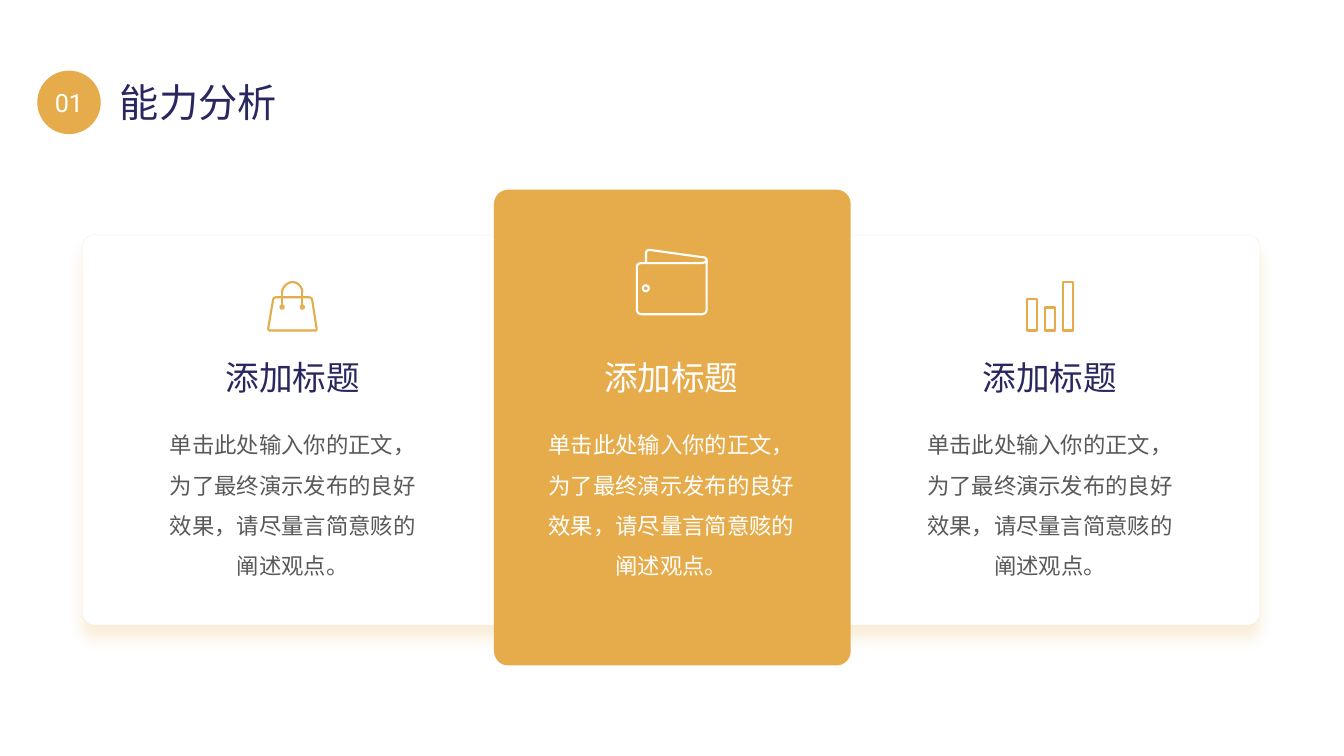
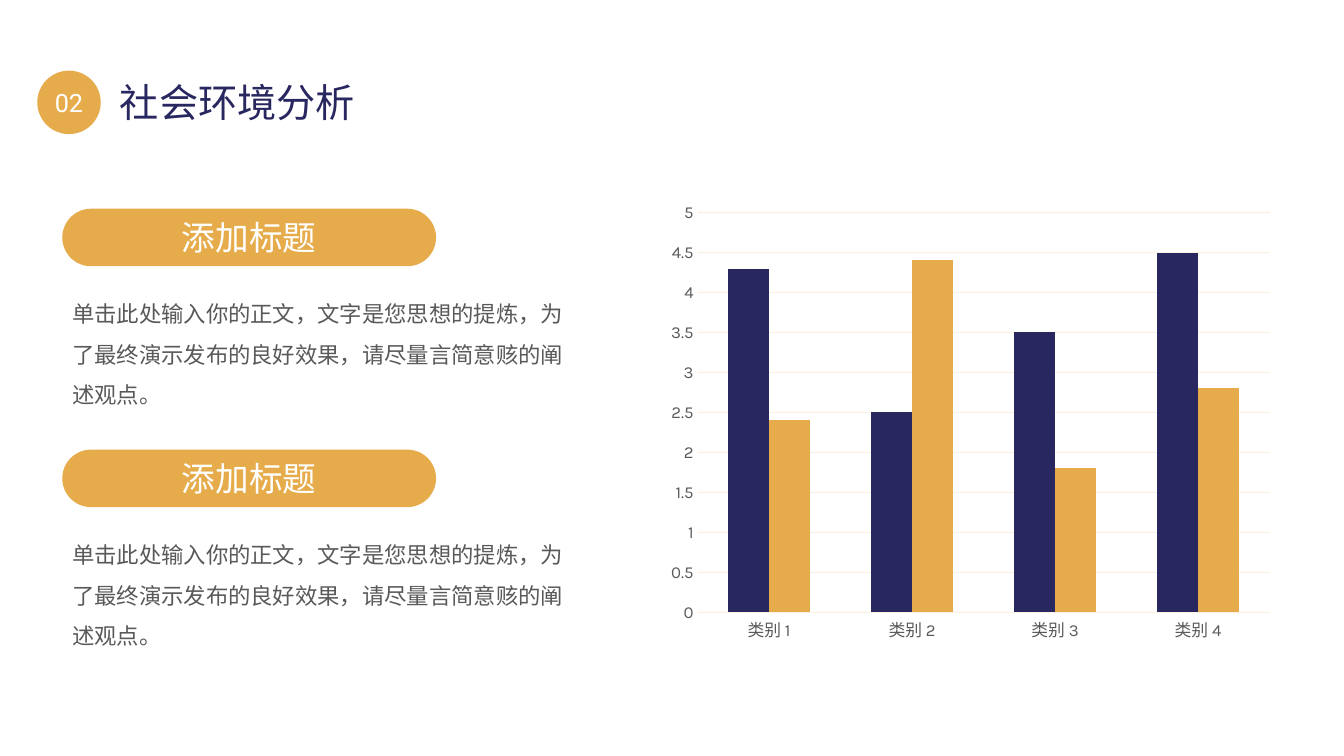
from lxml import etree
from pptx import Presentation
from pptx.chart.data import CategoryChartData
from pptx.dml.color import RGBColor
from pptx.enum.chart import XL_CHART_TYPE as ChartType, XL_TICK_MARK as TickMark
from pptx.enum.shapes import MSO_CONNECTOR as Connector, MSO_SHAPE as Shape
from pptx.enum.text import MSO_ANCHOR as Anchor, MSO_AUTO_SIZE as AutoSize, PP_ALIGN as Align
from pptx.oxml import parse_xml
from pptx.oxml.ns import nsdecls, qn
from pptx.util import Cm, Pt

COLORS = {"gold": "E6AC4B", "navy": "29275F", "gray": "595959",
          "white": "FFFFFF", "grid": "FAEEDB"}

TITLE_FONT = {"name": "Roboto", "size": Pt(28)}
NUMBER_FONT = {"name": "Roboto", "size": Pt(18)}
HEADING_FONT = {"name": "Roboto", "size": Pt(24)}
BODY_FONT = {"name": "Karla", "size": Pt(16)}
CHART_FONT = {"name": "Karla", "size": Pt(12)}

ABILITY = {
    "number": "01",
    "title": "能力分析",
    "cards": [
        ("添加标题", "单击此处输入你的正文，为了最终演示发布的良好效果，请尽量言简意赅的阐述观点。",
         "navy", "gray"),
        ("添加标题", "单击此处输入你的正文，为了最终演示发布的良好效果，请尽量言简意赅的阐述观点。",
         "white", "white"),
        ("添加标题", "单击此处输入你的正文，为了最终演示发布的良好效果，请尽量言简意赅的阐述观点。",
         "navy", "gray"),
    ],
}
ENVIRONMENT = {
    "number": "02",
    "title": "社会环境分析",
    "sections": [
        ("添加标题", "单击此处输入你的正文，文字是您思想的提炼，为了最终演示发布的良好效果，请尽量言简意赅的阐述观点。"),
        ("添加标题", "单击此处输入你的正文，文字是您思想的提炼，为了最终演示发布的良好效果，请尽量言简意赅的阐述观点。"),
    ],
    "categories": ["类别 1", "类别 2", "类别 3", "类别 4"],
    "series": [("Series 1", [4.3, 2.5, 3.5, 4.5], "navy"),
               ("Series 2", [2.4, 4.4, 1.8, 2.8], "gold")],
}

# Icon outlines in cm: a start point, then segments of one point (line) or three (curve)
BAG_BODY = [(7.98, 8.28), [(7.98, 8.31), (7.98, 8.33), (7.95, 8.33)],
            [(6.81, 8.33)], [(6.78, 8.33), (6.76, 8.31), (6.76, 8.28)],
            [(6.88, 7.57)], [(6.88, 7.52), (6.93, 7.49), (6.96, 7.49)],
            [(7.77, 7.49)], [(7.82, 7.49), (7.87, 7.52), (7.87, 7.57)]]
BAG_HANDLE = [(7.11, 7.37), [(7.11, 7.24), (7.24, 7.11), (7.37, 7.11)],
              [(7.52, 7.11), (7.62, 7.24), (7.62, 7.37)]]
WALLET_BODY = [(17.81, 6.6), [(17.81, 7.8)],
               [(17.81, 7.87), (17.75, 7.92), (17.68, 7.92)],
               [(16.18, 7.92)], [(16.1, 7.92), (16.05, 7.87), (16.05, 7.8)],
               [(16.05, 6.73)], [(16.05, 6.67), (16.1, 6.63), (16.18, 6.63)],
               [(17.63, 6.63)], [(17.71, 6.63), (17.78, 6.63), (17.81, 6.55)]]
WALLET_FLAP = [(16.28, 6.6), [(16.28, 6.4)],
               [(16.28, 6.32), (16.33, 6.29), (16.38, 6.3)],
               [(17.68, 6.48)], [(17.81, 6.48), (17.81, 6.55), (17.81, 6.55)],
               [(17.81, 6.63)]]
BAR_HEIGHTS = [0.79, 0.58, 1.22]


def rgb(color):
    return RGBColor.from_string(COLORS[color])


def set_font(font, style, color):
    for attribute, value in style.items():
        setattr(font, attribute, value)
    font.color.rgb = rgb(color)


def set_alpha(color_element, percent):
    etree.SubElement(color_element, qn("a:alpha"), val=str(percent * 1000))


def write(shape, text, style, color, align=Align.LEFT, **paragraph_format):
    frame = shape.text_frame
    frame.word_wrap = True
    frame.text = text
    paragraph = frame.paragraphs[0]
    for attribute, value in {"alignment": align, **paragraph_format}.items():
        setattr(paragraph, attribute, value)
    set_font(paragraph.runs[0].font, style, color)


def add_text(slide, box, *content, **paragraph_format):
    write(slide.shapes.add_textbox(*map(Cm, box)), *content, **paragraph_format)


def paint(shape, fill=None, line=None, width=1.5):
    shape.shadow.inherit = False
    if fill:
        shape.fill.solid()
        shape.fill.fore_color.rgb = rgb(fill)
    else:
        shape.fill.background()
    if line:
        shape.line.color.rgb = rgb(line)
        shape.line.width = Pt(width)
    else:
        shape.line.fill.background()


def add_shape(slide, kind, box, corner=None, **look):
    shape = slide.shapes.add_shape(kind, *map(Cm, box))
    if corner is not None:
        shape.adjustments[0] = corner
    paint(shape, **look)
    return shape


def curve_points(start, segment, steps=8):
    """Points along a line or a cubic curve, without its start."""
    if len(segment) == 1:
        return segment
    points = [start, *segment]
    weights = [((1 - t) ** 3, 3 * t * (1 - t) ** 2, 3 * t * t * (1 - t), t ** 3)
               for t in (step / steps for step in range(1, steps + 1))]
    return [tuple(sum(w * point[axis] for w, point in zip(weight, points)) for axis in (0, 1))
            for weight in weights]


def add_outline(slide, outline, color, close=False):
    points = [outline[0]]
    for segment in outline[1:]:
        points += curve_points(points[-1], segment)
    start, *rest = [(Cm(x), Cm(y)) for x, y in points]
    builder = slide.shapes.build_freeform(*start)
    builder.add_line_segments(rest, close=close)
    paint(builder.convert_to_shape(), line=color)


def add_bag(slide):
    add_outline(slide, BAG_BODY, "gold", close=True)
    add_outline(slide, BAG_HANDLE, "gold")
    top, bottom, dot = 7.37, 7.7, 0.08
    for x in (7.11, 7.62):
        strap = slide.shapes.add_connector(Connector.STRAIGHT, Cm(x), Cm(top), Cm(x), Cm(bottom))
        strap.line.color.rgb = rgb("gold")
        strap.line.width = Pt(1.5)
        etree.SubElement(strap._element.spPr, qn("a:effectLst"))
        add_shape(slide, Shape.OVAL, (x - dot / 2, bottom, dot, dot), line="gold")


def add_wallet(slide):
    add_outline(slide, WALLET_BODY, "white")
    add_outline(slide, WALLET_FLAP, "white")
    add_shape(slide, Shape.OVAL, (16.2, 7.19, 0.15, 0.15), line="white")


def add_bars(slide):
    left, base, step, width = 25.88, 8.33, 0.46, 0.25
    for index, height in enumerate(BAR_HEIGHTS):
        add_shape(slide, Shape.RECTANGLE,
                  (left + index * step, base - height, width, height), line="gold")


def add_header_slide(presentation, content):
    slide = presentation.slides.add_slide(presentation.slide_layouts[5])
    title = slide.shapes.title
    place = {"left": Cm(2.77), "top": Cm(2.03), "width": Cm(7.92), "height": Cm(1.07)}
    for attribute, value in place.items():
        setattr(title, attribute, value)
    write(title, content["title"], TITLE_FONT, "navy")
    title.text_frame.vertical_anchor = Anchor.MIDDLE
    title.text_frame.auto_size = AutoSize.NONE
    badge = add_shape(slide, Shape.OVAL, (0.94, 1.78, 1.6, 1.6), fill="gold")
    write(badge, content["number"], NUMBER_FONT, "white", Align.CENTER)
    badge.text_frame.word_wrap = False
    return slide


def add_ability_slide(presentation):
    slide = add_header_slide(presentation, ABILITY)
    panel = add_shape(slide, Shape.ROUNDED_RECTANGLE, (2.08, 5.92, 29.67, 9.83), 0.03,
                      fill="white", line="gold", width=0.25)
    set_alpha(panel._element.spPr.find(".//" + qn("a:ln")).find(".//" + qn("a:srgbClr")), 20)
    effects = panel._element.spPr.find(qn("a:effectLst"))
    effects.append(parse_xml(
        f'<a:outerShdw {nsdecls("a")} blurRad="{Pt(10)}" dist="{Pt(10)}" dir="5400000" '
        f'algn="t" rotWithShape="0"><a:srgbClr val="{COLORS["gold"]}"/></a:outerShdw>'))
    set_alpha(effects[0][0], 20)
    add_shape(slide, Shape.ROUNDED_RECTANGLE, (12.45, 4.78, 8.99, 11.99), 0.04, fill="gold")

    first_center, step, heading_width, body_width = 7.38, 9.54, 5.59, 6.93
    for index, (heading, body, heading_color, body_color) in enumerate(ABILITY["cards"]):
        center = first_center + index * step
        add_text(slide, (center - heading_width / 2, 8.86, heading_width, 1.27),
                 heading, HEADING_FONT, heading_color, Align.CENTER)
        add_text(slide, (center - body_width / 2, 10.41, body_width, 4.24),
                 body, BODY_FONT, body_color, Align.CENTER, line_spacing=1.5)
    for add_icon in (add_bag, add_wallet, add_bars):
        add_icon(slide)


def add_column_chart(slide):
    data = CategoryChartData()
    data.categories = ENVIRONMENT["categories"]
    for name, values, _ in ENVIRONMENT["series"]:
        data.add_series(name, values)
    box = map(Cm, (16.64, 4.75, 15.67, 12.14))
    chart = slide.shapes.add_chart(ChartType.COLUMN_CLUSTERED, *box, data).chart
    chart.has_title = chart.has_legend = False
    set_font(chart.font, CHART_FONT, "gray")

    plot = chart.plots[0]
    for attribute, value in {"gap_width": 150, "overlap": 0, "vary_by_categories": False}.items():
        setattr(plot, attribute, value)
    for series, (_, _, color) in zip(plot.series, ENVIRONMENT["series"]):
        series.format.fill.solid()
        series.format.fill.fore_color.rgb = rgb(color)
        series.invert_if_negative = False

    for axis in (chart.category_axis, chart.value_axis):
        axis.major_tick_mark = axis.minor_tick_mark = TickMark.NONE
        axis.format.line.fill.background()
        set_font(axis.tick_labels.font, CHART_FONT, "gray")
    scale = {"minimum_scale": 0, "maximum_scale": 5, "major_unit": 0.5}
    for attribute, value in scale.items():
        setattr(chart.value_axis, attribute, value)
    grid = chart.value_axis.major_gridlines.format.line
    grid.color.rgb = rgb("grid")
    grid.width = Pt(0.75)
    set_alpha(chart._chartSpace.xpath(".//c:majorGridlines//a:srgbClr")[0], 80)

    plot_area = chart._chartSpace.chart.plotArea
    for old_layout in plot_area.findall(qn("c:layout")):
        plot_area.remove(old_layout)
    layout = etree.Element(qn("c:layout"))
    manual = etree.SubElement(layout, qn("c:manualLayout"))
    settings = {"layoutTarget": "inner", "xMode": "edge", "yMode": "edge",
                "x": 0.06, "y": 0.05, "w": 0.92, "h": 0.83}
    for tag, value in settings.items():
        etree.SubElement(manual, qn(f"c:{tag}"), val=str(value))
    plot_area.insert(0, layout)


def add_environment_slide(presentation):
    slide = add_header_slide(presentation, ENVIRONMENT)
    add_column_chart(slide)
    left, first_top, step = 1.57, 5.26, 6.07
    for index, (heading, body) in enumerate(ENVIRONMENT["sections"]):
        top = first_top + index * step
        pill = add_shape(slide, Shape.ROUNDED_RECTANGLE, (left, top, 9.42, 1.45), 0.5, fill="gold")
        write(pill, heading, HEADING_FONT, "white", Align.CENTER)
        add_text(slide, (left, top + 1.85, 12.95, 3.23), body, BODY_FONT, "gray",
                 line_spacing=1.5)


def main():
    presentation = Presentation()
    presentation.slide_width, presentation.slide_height = Cm(33.87), Cm(19.05)
    add_ability_slide(presentation)
    add_environment_slide(presentation)
    presentation.save("out.pptx")


if __name__ == "__main__":
    main()
